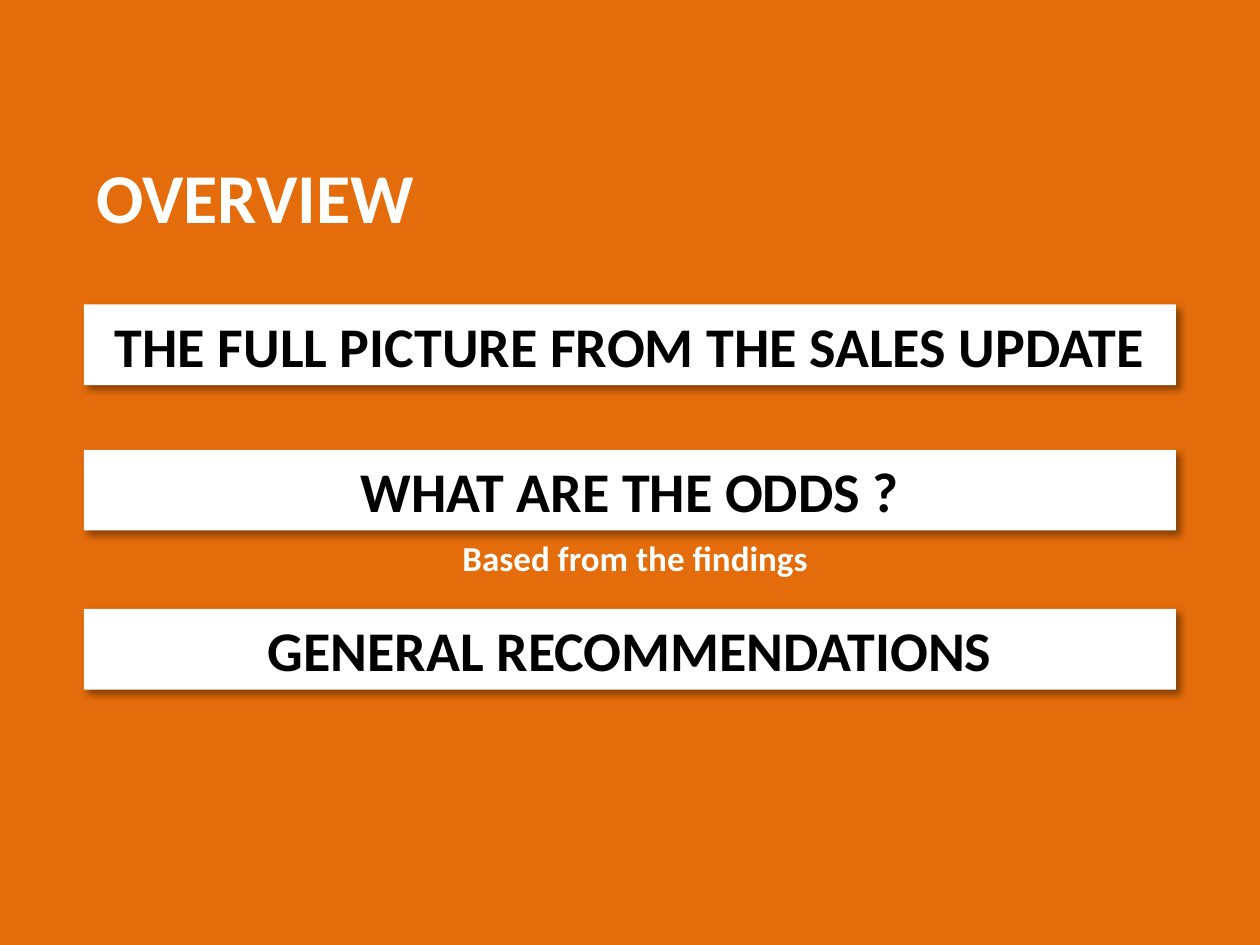
"""Build the overview slide: a heading, three white bars and a caption."""
import lxml.etree
import pptx
import pptx.dml.color
import pptx.enum.shapes
import pptx.enum.text
import pptx.oxml
import pptx.oxml.ns
import pptx.util

CELL = pptx.util.Inches(1) / 12
LEFT, BAR_WIDTH, BAR_HEIGHT = 8, 104, 7.68
ALIGN = pptx.enum.text.PP_ALIGN
SHADOW = (
    f'<a:effectLst {pptx.oxml.ns.nsdecls("a")}>'
    '<a:outerShdw blurRad="50800" dist="38100" dir="2700000" algn="tl" rotWithShape="0">'
    '<a:srgbClr val="000000"><a:alpha val="40000"/></a:srgbClr>'
    '</a:outerShdw></a:effectLst>'
)


def color(value):
    return pptx.dml.color.RGBColor.from_string(value)


def write(shape, text, size, ink, alignment):
    frame = shape.text_frame
    frame.word_wrap = True
    frame.auto_size = pptx.enum.text.MSO_AUTO_SIZE.SHAPE_TO_FIT_TEXT
    paragraph = frame.paragraphs[0]
    paragraph.alignment = alignment
    run = paragraph.add_run()
    run.text = text
    run.font.name = "Calibri"
    run.font.size = pptx.util.Pt(size)
    run.font.bold = True
    run.font.color.rgb = color(ink)


presentation = pptx.Presentation()
presentation.slide_width = pptx.util.Inches(10)
presentation.slide_height = pptx.util.Inches(7.5)
slide = presentation.slides.add_slide(presentation.slide_layouts[6])
slide.background.fill.solid()
slide.background.fill.fore_color.rgb = color("E46C0A")

labels = [
    ("OVERVIEW", 40, ALIGN.LEFT, (LEFT, 14, 99, 9.28)),
    ("Based from the findings", 20, ALIGN.CENTER, (36, 50.5, 49, 5.25)),
]
for text, size, alignment, box in labels:
    label = slide.shapes.add_textbox(*(int(cells * CELL) for cells in box))
    write(label, text, size, "FFFFFF", alignment)

bars = [
    (29, "THE FULL PICTURE FROM THE SALES UPDATE"),
    (42.84, "WHAT ARE THE ODDS ?"),
    (58, "GENERAL RECOMMENDATIONS"),
]
for row, text in bars:
    box = (LEFT, row, BAR_WIDTH, BAR_HEIGHT)
    bar = slide.shapes.add_shape(
        pptx.enum.shapes.MSO_SHAPE.RECTANGLE, *(int(cells * CELL) for cells in box)
    )
    bar.fill.solid()
    bar.fill.fore_color.rgb = color("FFFFFF")
    bar.line.fill.background()
    bar.element.spPr.append(pptx.oxml.parse_xml(SHADOW))
    write(bar, text, 32, "000000", ALIGN.CENTER)

presentation.save("out.pptx")
